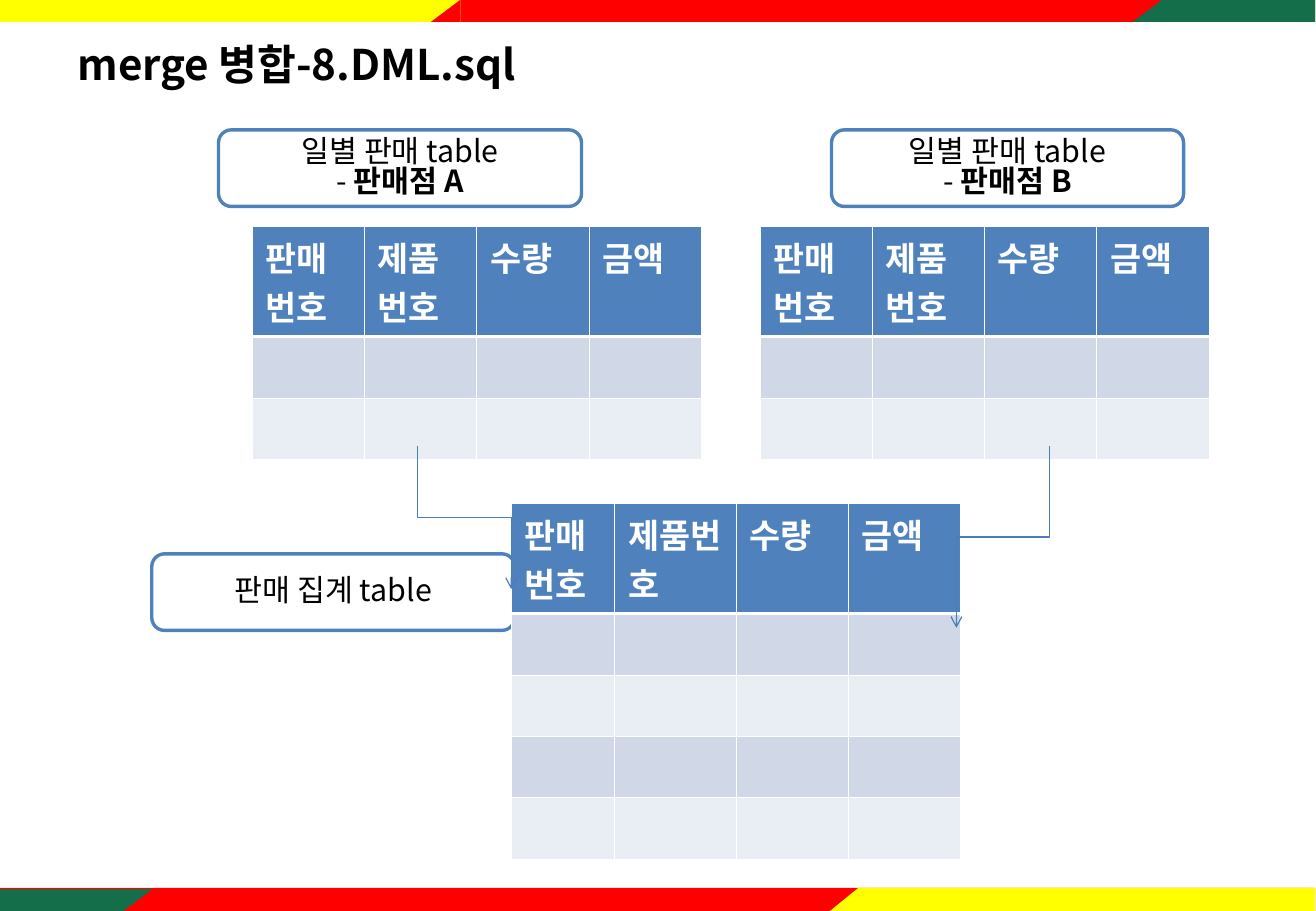
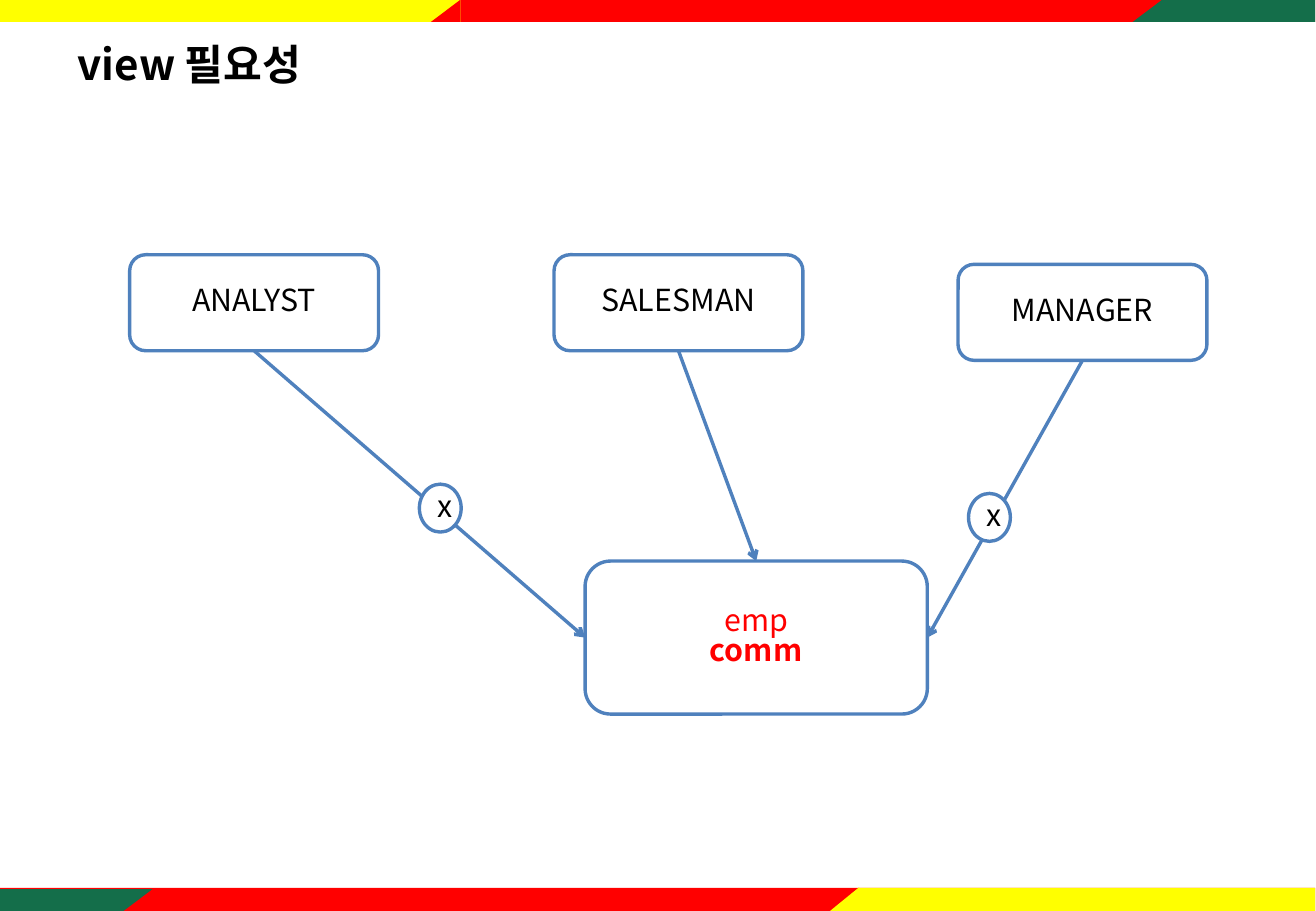
from dataclasses import dataclass

from lxml import etree
from pptx import Presentation
from pptx.dml.color import RGBColor
from pptx.enum.shapes import MSO_CONNECTOR, MSO_SHAPE
from pptx.enum.text import MSO_ANCHOR, MSO_AUTO_SIZE, PP_ALIGN
from pptx.oxml.ns import qn
from pptx.util import Pt

RECT = MSO_SHAPE.RECTANGLE
TRIANGLE = MSO_SHAPE.RIGHT_TRIANGLE
ROUND = MSO_SHAPE.ROUNDED_RECTANGLE
OVAL = MSO_SHAPE.OVAL
STRAIGHT = MSO_CONNECTOR.STRAIGHT
ELBOW = MSO_CONNECTOR.ELBOW
MIDDLE = MSO_ANCHOR.MIDDLE
CENTER, LEFT = PP_ALIGN.CENTER, PP_ALIGN.LEFT

FONT = "Noto Sans CJK KR"
COLORS = {
    "yellow": "FFFF00",
    "red": "FF0000",
    "green": "146E4A",
    "blue": "4F81BD",
    "arrow": "4A7EBB",
    "white": "FFFFFF",
    "black": "000000",
    "row_dark": "D0D8E8",
    "row_light": "E9EDF4",
}
HEADERS = ("판매번호", "제품번호", "수량", "금액")
EVEN_WIDTHS = (66.6, 66.6, 66.6, 66.6)
SUMMARY_WIDTHS = (61.2, 72, 66.6, 66.6)
HEADER_HEIGHT, ROW_HEIGHT = 55.4, 36.4
THIN, THICK = 0.45, 1.47


@dataclass(frozen=True)
class Span:
    text: str
    bold: bool = False


@dataclass(frozen=True)
class Band:
    left: float
    top: float
    width: float
    height: float
    color: str
    kind: int = RECT


@dataclass(frozen=True)
class Node:
    left: float
    top: float
    width: float
    height: float
    lines: tuple[tuple[Span, ...], ...]
    color: str = "black"
    kind: int = ROUND

    @property
    def bottom(self) -> tuple[float, float]:
        return self.left + self.width / 2, self.top + self.height

    @property
    def sides(self) -> tuple[tuple[float, float], ...]:
        """Middle of the left edge, the top edge and the right edge."""
        middle = self.top + self.height / 2
        return (
            (self.left, middle),
            (self.left + self.width / 2, self.top),
            (self.left + self.width, middle),
        )


@dataclass(frozen=True)
class Grid:
    left: float
    top: float
    widths: tuple[float, ...]
    empty_rows: int


BANDS = (
    # Top
    Band(0, 0, 273.6, 13, "yellow"),
    Band(273, 0, 507, 13, "red"),
    Band(255.6, 0, 17.3, 13, "red", TRIANGLE),
    Band(689, 0, 91, 13, "green"),
    Band(671.8, 0, 17.3, 13, "green", TRIANGLE),
    # Bottom
    Band(0, 526.3, 780, 13.7, "red"),
    Band(509, 526.3, 271, 13.7, "yellow"),
    Band(492.3, 525.9, 17.3, 14.1, "yellow", TRIANGLE),
    Band(0, 527, 90.7, 13, "green"),
    Band(73.4, 527, 17.3, 13, "red", TRIANGLE),
)


def rgb(name: str) -> RGBColor:
    return RGBColor.from_string(COLORS[name])


def write(para, text: str, *, size: float, color: str = "black",
          bold: bool = False) -> None:
    run = para.add_run()
    run.text = text
    font = run.font
    font.name, font.size, font.bold = FONT, Pt(size), bold
    font.color.rgb = rgb(color)
    etree.SubElement(run._r.get_or_add_rPr(), qn("a:ea"), typeface=FONT)


def add_band(page, band: Band):
    shape = page.shapes.add_shape(
        band.kind, Pt(band.left), Pt(band.top), Pt(band.width), Pt(band.height))
    shape.shadow.inherit = False
    shape.fill.solid()
    shape.fill.fore_color.rgb = rgb(band.color)
    shape.line.fill.background()
    if band.kind == TRIANGLE:
        shape.element.spPr.find(qn("a:xfrm")).set("flipH", "1")
    return shape


def prepare_layout(layout, page) -> None:
    """Place the title and move the bands into the shared layout."""
    title = layout.placeholders[0]
    title.left, title.top = Pt(38.9), Pt(21.6)
    title.width, title.height = Pt(702), Pt(32.4)
    for band in BANDS:
        layout.shapes.element.append(add_band(page, band).element)


def set_title(page, text: str) -> None:
    frame = page.shapes.title.text_frame
    frame.auto_size = MSO_AUTO_SIZE.NONE
    frame.vertical_anchor = MIDDLE
    para = frame.paragraphs[0]
    para.alignment = LEFT
    write(para, text, size=25, bold=True)


def add_node(page, node: Node) -> None:
    shape = page.shapes.add_shape(
        node.kind, Pt(node.left), Pt(node.top), Pt(node.width), Pt(node.height))
    shape.shadow.inherit = False
    shape.fill.solid()
    shape.fill.fore_color.rgb = rgb("white")
    shape.line.color.rgb = rgb("blue")
    shape.line.width = Pt(2)
    frame = shape.text_frame
    frame.word_wrap = True
    frame.vertical_anchor = MIDDLE
    for index, line in enumerate(node.lines):
        para = frame.add_paragraph() if index else frame.paragraphs[0]
        para.alignment = CENTER
        para.line_spacing = 0.82
        for span in line:
            write(para, span.text, size=18, color=node.color, bold=span.bold)


def style_arrow(connector, color: str, width: float) -> None:
    connector.line.color.rgb = rgb(color)
    connector.line.width = Pt(width)
    properties = connector.element.spPr
    etree.SubElement(properties.find(qn("a:ln")), qn("a:tailEnd"), type="arrow")
    etree.SubElement(properties, qn("a:effectLst"))


def add_arrow(page, start: tuple[float, float], end: tuple[float, float]) -> None:
    connector = page.shapes.add_connector(
        STRAIGHT, *(Pt(value) for value in (*start, *end)))
    style_arrow(connector, "blue", 2)


def add_elbow(page, start: tuple[float, float], end: tuple[float, float]) -> None:
    """Arrow that goes down, across and down: a quarter-turned elbow."""
    (x1, y1), (x2, y2) = start, end
    width, height = y2 - y1, abs(x2 - x1)
    left, top = (x1 + x2 - width) / 2, (y1 + y2 - height) / 2
    connector = page.shapes.add_connector(
        ELBOW, Pt(left), Pt(top), Pt(left + width), Pt(top + height))
    frame = connector.element.spPr.find(qn("a:xfrm"))
    if x2 > x1:
        frame.set("rot", "16200000")
        frame.set("flipH", "1")
    else:
        frame.set("rot", "5400000")
    style_arrow(connector, "arrow", 0.75)


def set_borders(cell, **widths: float) -> None:
    properties = cell._tc.get_or_add_tcPr()
    for side, width in widths.items():
        line = etree.SubElement(properties, qn(f"a:ln{side}"), w=str(Pt(width)))
        fill = etree.SubElement(line, qn("a:solidFill"))
        etree.SubElement(fill, qn("a:srgbClr"), val=COLORS["white"])


def add_grid(page, grid: Grid) -> None:
    rows = grid.empty_rows + 1
    height = HEADER_HEIGHT + grid.empty_rows * ROW_HEIGHT
    table = page.shapes.add_table(
        rows, len(HEADERS), Pt(grid.left), Pt(grid.top),
        Pt(sum(grid.widths)), Pt(height)).table
    for column, width in zip(table.columns, grid.widths):
        column.width = Pt(width)
    for index, row in enumerate(table.rows):
        row.height = Pt(ROW_HEIGHT if index else HEADER_HEIGHT)
        color = ("row_dark" if index % 2 else "row_light") if index else "blue"
        for cell, header in zip(row.cells, HEADERS):
            set_borders(cell, L=THIN, R=THIN,
                        T=THICK if index == 1 else THIN,
                        B=THIN if index else THICK)
            cell.fill.solid()
            cell.fill.fore_color.rgb = rgb(color)
            cell.margin_left = cell.margin_right = Pt(7.9)
            if index == 0:
                write(cell.text_frame.paragraphs[0], header,
                      size=20, color="white", bold=True)


def store_node(left: float, width: float, store: str) -> Node:
    lines = ((Span("일별 판매 table"),), (Span("- "), Span(store, True)))
    return Node(left, 77, width, 45.4, lines)


def build_merge(page) -> None:
    set_title(page, "merge 병합-8.DML.sql")
    add_node(page, Node(90, 328.3, 215.3, 45.4, ((Span("판매 집계 table"),),)))
    add_node(page, store_node(493.2, 208.8, "판매점 B"))
    for grid in (
        Grid(149.6, 134.2, EVEN_WIDTHS, 2),
        Grid(450.7, 134.2, EVEN_WIDTHS, 2),
        Grid(303.4, 298.4, SUMMARY_WIDTHS, 4),
    ):
        add_grid(page, grid)
    add_elbow(page, (247.8, 264.4), (303.2, 349.2))
    add_elbow(page, (622.3, 264.4), (567.2, 372.2))
    add_node(page, store_node(129.6, 215.3, "판매점 A"))


def build_view(page) -> None:
    set_title(page, "view 필요성")
    target = Node(347, 332.6, 203, 90.7,
                  ((Span("emp"),), (Span("comm", True),)), "red")
    roles = [
        Node(left, top, 147.6, 56.9, ((Span(name),),))
        for name, left, top in (
            ("ANALYST", 76.9, 151), ("SALESMAN", 328.6, 151), ("MANAGER", 568.2, 156.7))
    ]
    for node in (target, *roles):
        add_node(page, node)
    for role, end in zip(roles, target.sides):
        add_arrow(page, role.bottom, end)
    # Marks of blocked access
    for left, top in ((574.4, 292.5), (248.7, 287)):
        add_node(page, Node(left, top, 24.8, 28.4, ((Span("x"),),), kind=OVAL))


def main() -> None:
    deck = Presentation()
    deck.slide_width, deck.slide_height = Pt(780.48), Pt(540)
    layout = deck.slide_layouts[5]
    pages = [deck.slides.add_slide(layout) for _ in range(2)]
    prepare_layout(layout, pages[0])
    for build, page in zip((build_merge, build_view), pages):
        build(page)
    deck.save("out.pptx")


if __name__ == "__main__":
    main()
